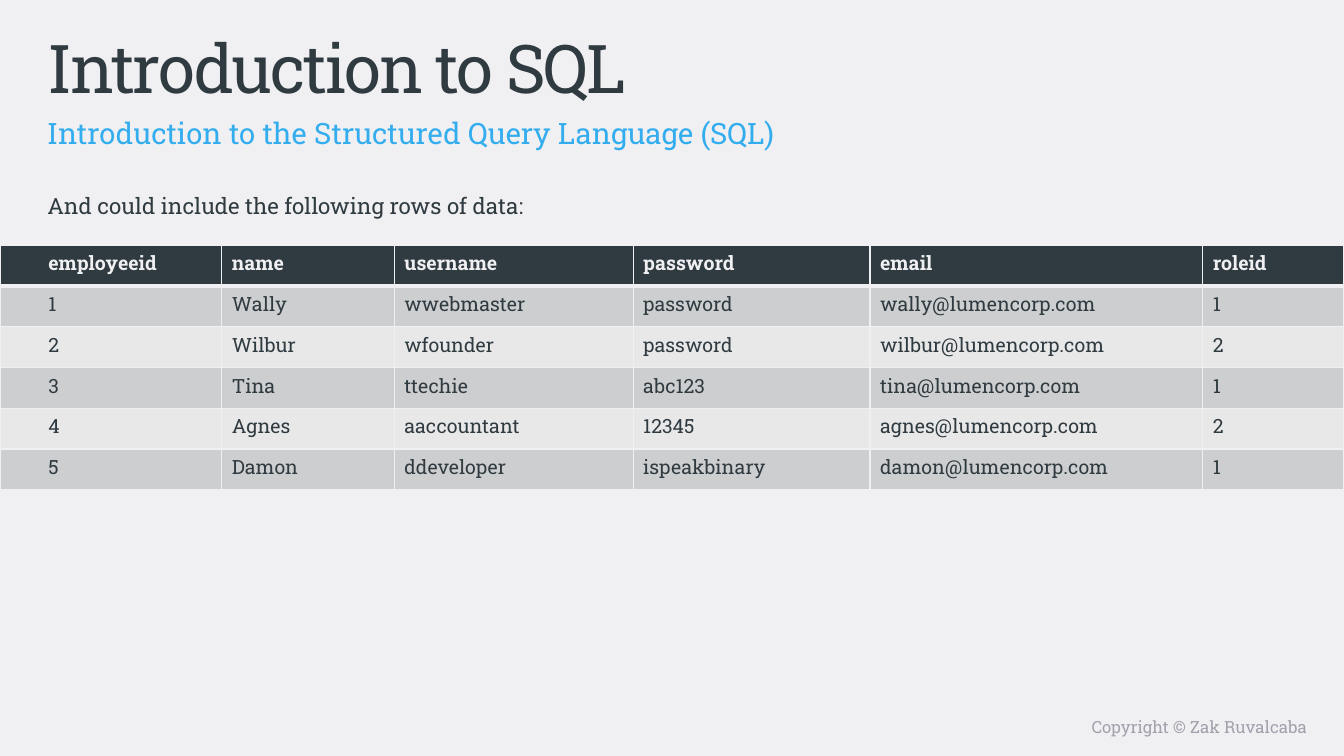
from dataclasses import dataclass

from lxml import etree
from pptx import Presentation
from pptx.dml.color import RGBColor
from pptx.enum.text import MSO_ANCHOR, PP_ALIGN
from pptx.oxml.ns import qn
from pptx.slide import Slide
from pptx.table import _Cell
from pptx.text.text import _Paragraph
from pptx.util import Emu, Inches, Pt

WIDTH, HEIGHT = Inches(13.33), Inches(7.5)


@dataclass(frozen=True)
class Theme:
    font: str = "Roboto Slab"
    paper: str = "F0F0F2"
    ink: str = "303B41"
    accent: str = "34ADEF"
    muted: str = "A1A1AD"
    bands: tuple[str, str] = ("CDCECF", "E8E8E9")
    title: int = 48
    subtitle: int = 21
    body: int = 16
    cell: int = 14
    footer: int = 12
    rule: int = 1
    header_rule: int = 3


@dataclass(frozen=True)
class TextBlock:
    text: str
    left: float
    top: float
    width: float
    height: float
    size: int
    color: str
    line_spacing: float = 1.0
    tracking: float = 0
    align: PP_ALIGN = PP_ALIGN.LEFT


THEME = Theme()
MARGIN = 2.78

BLOCKS = (
    TextBlock("Copyright © Zak Ruvalcaba", 50, 94.13, 48, 4.13,
              THEME.footer, THEME.muted, align=PP_ALIGN.RIGHT),
    TextBlock("Introduction to SQL", MARGIN, 2.8, 88.22, 10.53,
              THEME.title, THEME.ink, tracking=-1.5),
    TextBlock("And could include the following rows of data:", MARGIN, 23.73, 91.82, 8.67,
              THEME.body, THEME.ink, line_spacing=1.3),
    TextBlock("Introduction to the Structured Query Language (SQL)", MARGIN, 13.2, 88.22, 5.2,
              THEME.subtitle, THEME.accent, line_spacing=1.3),
)

COLUMN_SHARES = (16.5, 12.83, 17.78, 17.63, 24.76, 10.5)
TABLE_TOP, ROW_SHARE = 32.4, 5.4
EMPLOYEES = (
    ("employeeid", "name", "username", "password", "email", "roleid"),
    ("1", "Wally", "wwebmaster", "password", "wally@lumencorp.com", "1"),
    ("2", "Wilbur", "wfounder", "password", "wilbur@lumencorp.com", "2"),
    ("3", "Tina", "ttechie", "abc123", "tina@lumencorp.com", "1"),
    ("4", "Agnes", "aaccountant", "12345", "agnes@lumencorp.com", "2"),
    ("5", "Damon", "ddeveloper", "ispeakbinary", "damon@lumencorp.com", "1"),
)


def across(share: float) -> Emu:
    return Emu(round(WIDTH * share / 100))


def down(share: float) -> Emu:
    return Emu(round(HEIGHT * share / 100))


def write(paragraph: _Paragraph, text: str, size: int, color: str,
          bold: bool = False, tracking: float = 0) -> None:
    run = paragraph.add_run()
    run.text = text
    run.font.name = THEME.font
    run.font.size = Pt(size)
    run.font.bold = bold
    run.font.color.rgb = RGBColor.from_string(color)
    if tracking:
        run.font._element.set("spc", str(round(tracking * 100)))


def draw_block(slide: Slide, block: TextBlock) -> None:
    box = slide.shapes.add_textbox(across(block.left), down(block.top),
                                   across(block.width), down(block.height))
    frame = box.text_frame
    frame.word_wrap = True
    frame.vertical_anchor = MSO_ANCHOR.TOP
    paragraph = frame.paragraphs[0]
    paragraph.alignment = block.align
    paragraph.line_spacing = block.line_spacing
    write(paragraph, block.text, block.size, block.color, tracking=block.tracking)


def set_borders(cell: _Cell, top: int, bottom: int) -> None:
    properties = cell._tc.get_or_add_tcPr()
    widths = {"a:lnL": THEME.rule, "a:lnR": THEME.rule, "a:lnT": top, "a:lnB": bottom}
    for tag, width in widths.items():
        line = etree.SubElement(properties, qn(tag), w=str(Pt(width)))
        fill = etree.SubElement(line, qn("a:solidFill"))
        etree.SubElement(fill, qn("a:srgbClr"), val=THEME.paper)


def draw_cell(cell: _Cell, text: str, row: int, column: int) -> None:
    header = row == 0
    set_borders(cell,
                top=THEME.header_rule if row == 1 else THEME.rule,
                bottom=THEME.header_rule if header else THEME.rule)
    cell.fill.solid()
    background = THEME.ink if header else THEME.bands[(row - 1) % 2]
    cell.fill.fore_color.rgb = RGBColor.from_string(background)
    cell.margin_left = Inches(0.48 if column == 0 else 0.1)
    write(cell.text_frame.paragraphs[0], text, THEME.cell,
          THEME.paper if header else THEME.ink, bold=header)


def draw_table(slide: Slide, records: tuple[tuple[str, ...], ...]) -> None:
    table = slide.shapes.add_table(len(records), len(COLUMN_SHARES), 0, down(TABLE_TOP),
                                   WIDTH, down(ROW_SHARE * len(records))).table
    for column, share in zip(table.columns, COLUMN_SHARES):
        column.width = across(share)
    for row, record in enumerate(records):
        table.rows[row].height = down(ROW_SHARE)
        for column, text in enumerate(record):
            draw_cell(table.cell(row, column), text, row, column)


def main() -> None:
    deck = Presentation()
    deck.slide_width, deck.slide_height = WIDTH, HEIGHT
    slide = deck.slides.add_slide(deck.slide_layouts[6])
    slide.background.fill.solid()
    slide.background.fill.fore_color.rgb = RGBColor.from_string(THEME.paper)
    for block in BLOCKS:
        draw_block(slide, block)
    draw_table(slide, EMPLOYEES)
    deck.save("out.pptx")


main()
